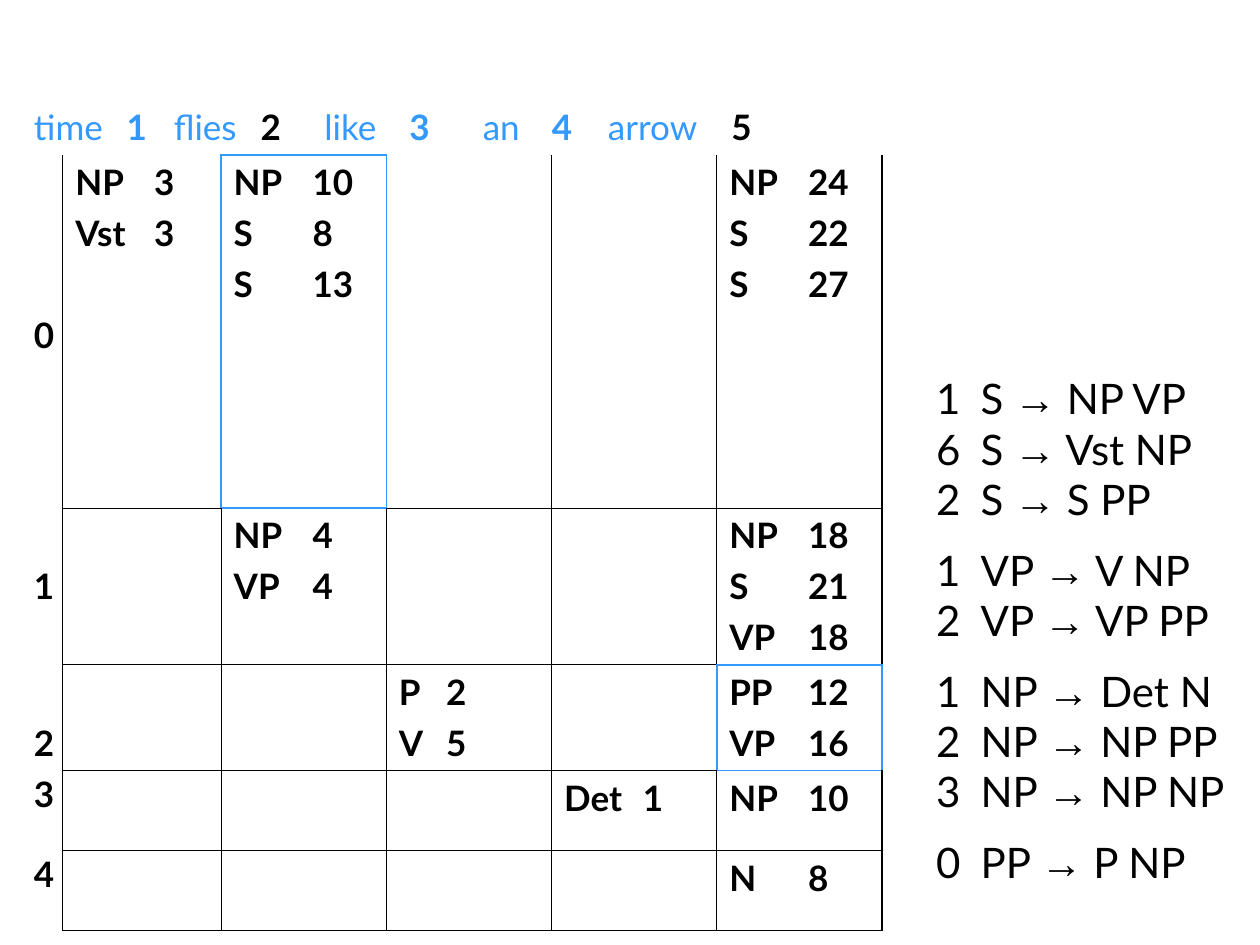
import dataclasses

import pptx
import pptx.dml.color
import pptx.enum.text
import pptx.oxml.ns
import pptx.util
from lxml import etree

Pt = pptx.util.Pt
ALIGN = pptx.enum.text.PP_ALIGN


@dataclasses.dataclass(frozen=True)
class Theme:
    font: str = "Lato"
    sign: str = "Arial"
    ink: str = "000000"
    blue: str = "3399FF"
    cell: int = 20
    rule: int = 24
    gap: int = 5
    thin: float = 0.45
    bold: float = 1.08


THEME = Theme()
COLS = [23.7, 90.5] + [94.4] * 4
ROWS = [31.7, 201.7, 89.3, 60.5, 45.7, 45.7]
LAST_ROW, LAST_COL = len(ROWS) - 1, len(COLS) - 1
HOT = {(1, 2), (3, 5)}  # outlined in blue

WORDS = ["time", "1", "flies", "2", "like", "3", "an", "4", "arrow", "5"]
STOPS = [53, 80, 129.5, 166, 214.5, 256.5, 296, 328, 398.5]

# (row, column): entries, each a category and its weight
CHART = {
    (1, 1): ["NP\t3", "Vst\t3"],
    (1, 2): ["NP\t10", "S\t8", "S\t13"],
    (1, 5): ["NP\t24", "S\t22", "S\t27"],
    (2, 2): ["NP\t4", "VP\t4"],
    (2, 5): ["NP\t18", "S\t21", "VP\t18"],
    (3, 3): ["P\t2", "V\t5"],
    (3, 5): ["PP\t12", "VP\t16"],
    (4, 4): ["Det\t1"],
    (4, 5): ["NP\t10"],
    (5, 5): ["N\t8"],
}
# row label: line spacing
LABELS = {"0": None, "1": 2.2, "2": 2.2, "3": 0.9, "4": 0.9}

RULES = [
    [("1", "S", "NP VP"), ("6", "S", "Vst NP"), ("2", "S", "S PP")],
    [("1", "VP", "V NP"), ("2", "VP", "VP PP")],
    [("1", "NP", "Det N"), ("2", "NP", "NP PP"), ("3", "NP", "NP NP")],
    [("0", "PP", "P NP")],
]


def tint(font, color):
    font.color.rgb = pptx.dml.color.RGBColor.from_string(color)


def style(para, size, bold=False):
    para.font.name = THEME.font
    para.font.size = Pt(size)
    para.font.bold = bold
    tint(para.font, THEME.ink)


def sub(parent, tag, **attrs):
    return etree.SubElement(parent, pptx.oxml.ns.qn("a:" + tag), **attrs)


def tabs(para, stops):
    """Add left tab stops; call after spacing and before fonts."""
    tray = sub(para._p.get_or_add_pPr(), "tabLst")
    for stop in stops:
        sub(tray, "tab", pos=str(int(Pt(stop))), algn="l")


def lines(frame, count):
    return [frame.paragraphs[0]] + [frame.add_paragraph() for _ in range(count - 1)]


def edge(row, col, down, right):
    """Colour and width of the side towards a neighbour, or None."""
    near = (row + down, col + right)
    if (row, col) in HOT or near in HOT:
        return THEME.blue, THEME.bold
    if row == 0 or near[0] == 0 or (col == 0 and not right > 0):
        return None
    outer = near[0] > LAST_ROW or near[1] > LAST_COL
    return THEME.ink, THEME.bold if outer else THEME.thin


def frame_cell(cell, row, col):
    props = cell._tc.get_or_add_tcPr()
    sides = {"lnL": (0, -1), "lnR": (0, 1), "lnT": (-1, 0), "lnB": (1, 0)}
    for tag, step in sides.items():
        line = edge(row, col, *step)
        if line:
            color, width = line
            node = sub(props, tag, w=str(int(Pt(width))))
            sub(sub(node, "solidFill"), "srgbClr", val=color)
        else:
            sub(sub(props, tag, w="0"), "noFill")
    cell.fill.background()


def fill_head(cell):
    para = cell.text_frame.paragraphs[0]
    tabs(para, STOPS)
    style(para, THEME.cell)
    for i, word in enumerate(WORDS):
        run = para.add_run()
        run.text = word if i == 0 else "\t" + word
        run.font.bold = word.isdigit()
        tint(run.font, THEME.ink if word in "25" else THEME.blue)


def fill_label(cell, text, space):
    para = cell.text_frame.paragraphs[0]
    para.text = text
    para.alignment = ALIGN.CENTER
    if space:
        para.line_spacing = space
    else:
        cell.margin_top = Pt(90.8)  # level with the fourth entry
    style(para, THEME.cell, True)


def fill_entry(cell, items, stop):
    for i, para in enumerate(lines(cell.text_frame, len(items))):
        para.text = items[i]
        if i:
            para.space_before = Pt(THEME.gap)
        tabs(para, [stop])
        style(para, THEME.cell, True)


def add_grid(slide):
    shape = slide.shapes.add_table(
        len(ROWS), len(COLS), Pt(12.2), Pt(56.9), Pt(sum(COLS)), Pt(sum(ROWS)))
    grid = shape.table
    grid.first_row = grid.horz_banding = False
    for col, width in zip(grid.columns, COLS):
        col.width = Pt(width)
    for row, height in zip(grid.rows, ROWS):
        row.height = Pt(height)
    for r in range(len(ROWS)):
        for c in range(len(COLS)):
            frame_cell(grid.cell(r, c), r, c)
    grid.cell(0, 0).merge(grid.cell(0, LAST_COL))
    fill_head(grid.cell(0, 0))
    for r, (text, space) in enumerate(LABELS.items(), 1):
        fill_label(grid.cell(r, 0), text, space)
    for (r, c), items in CHART.items():
        fill_entry(grid.cell(r, c), items, 27 if c == 3 else 45)


def add_rules(slide):
    box = slide.shapes.add_textbox(Pt(527.8), Pt(209.5), Pt(192.2), Pt(301))
    frame = box.text_frame
    frame.word_wrap = True
    frame.auto_size = pptx.enum.text.MSO_AUTO_SIZE.SHAPE_TO_FIT_TEXT
    flat = [(g > 0 and i == 0, rule)
            for g, group in enumerate(RULES) for i, rule in enumerate(group)]
    for para, (opens, (cost, left, right)) in zip(lines(frame, len(flat)), flat):
        if opens:
            para.line_spacing = 1.4
        tabs(para, [25.5])
        style(para, THEME.rule)
        para.add_run().text = f"{cost}\t{left} "
        sign = para.add_run()
        sign.text = "→"
        sign.font.name = THEME.sign
        para.add_run().text = " " + right


def main():
    deck = pptx.Presentation()
    deck.slide_width, deck.slide_height = Pt(720), Pt(540)
    slide = deck.slides.add_slide(deck.slide_layouts[6])
    add_grid(slide)
    add_rules(slide)
    deck.save("out.pptx")


if __name__ == "__main__":
    main()
